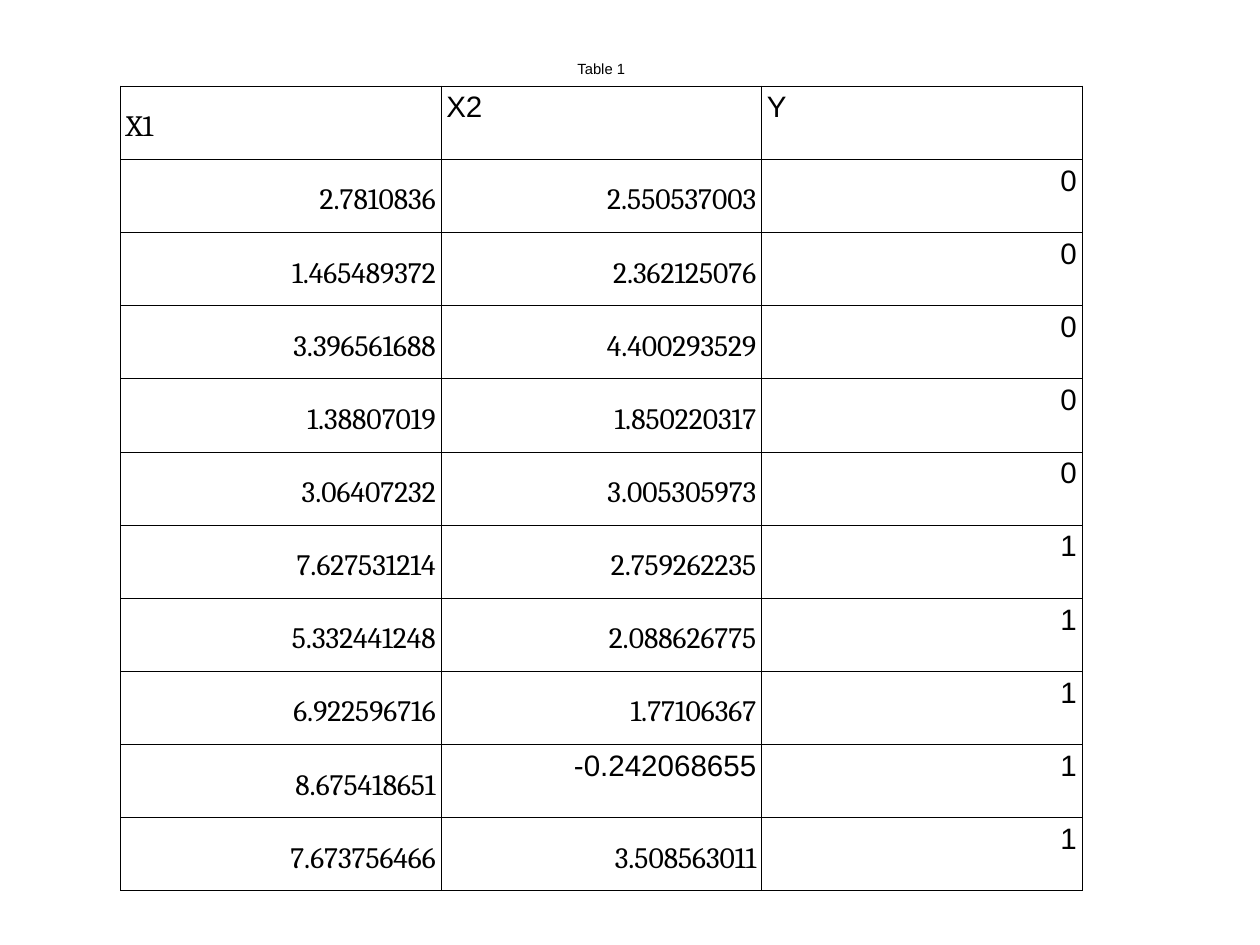
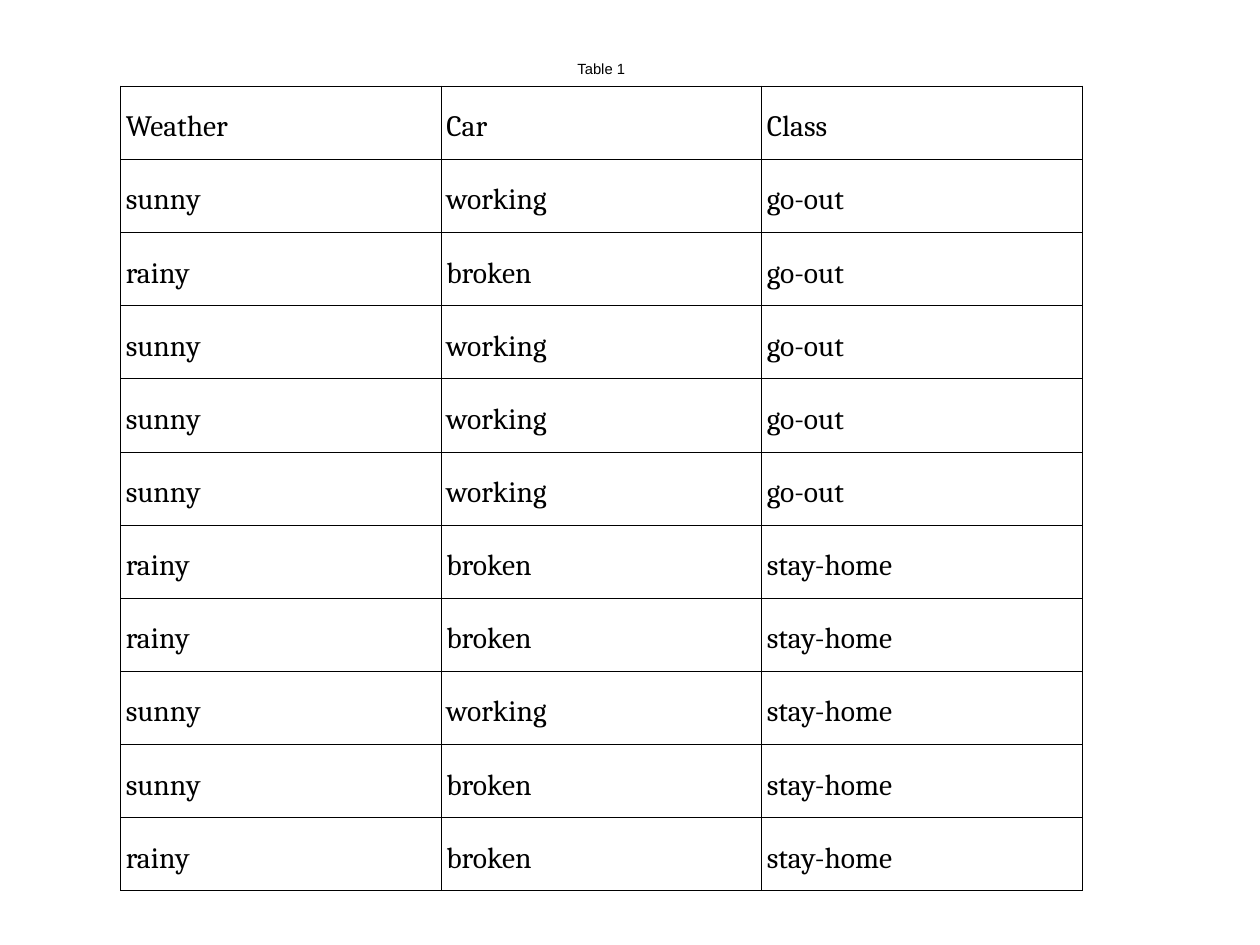
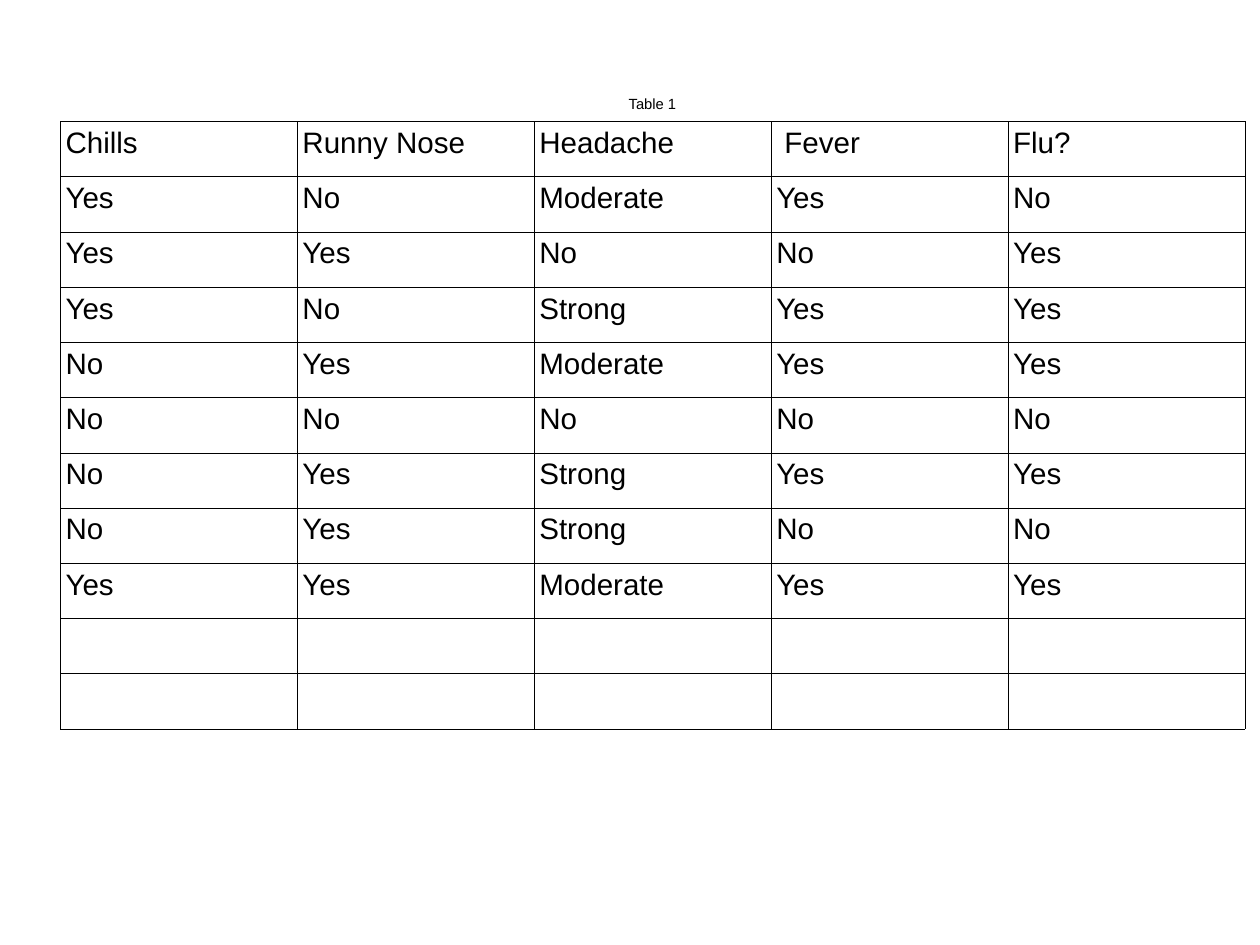
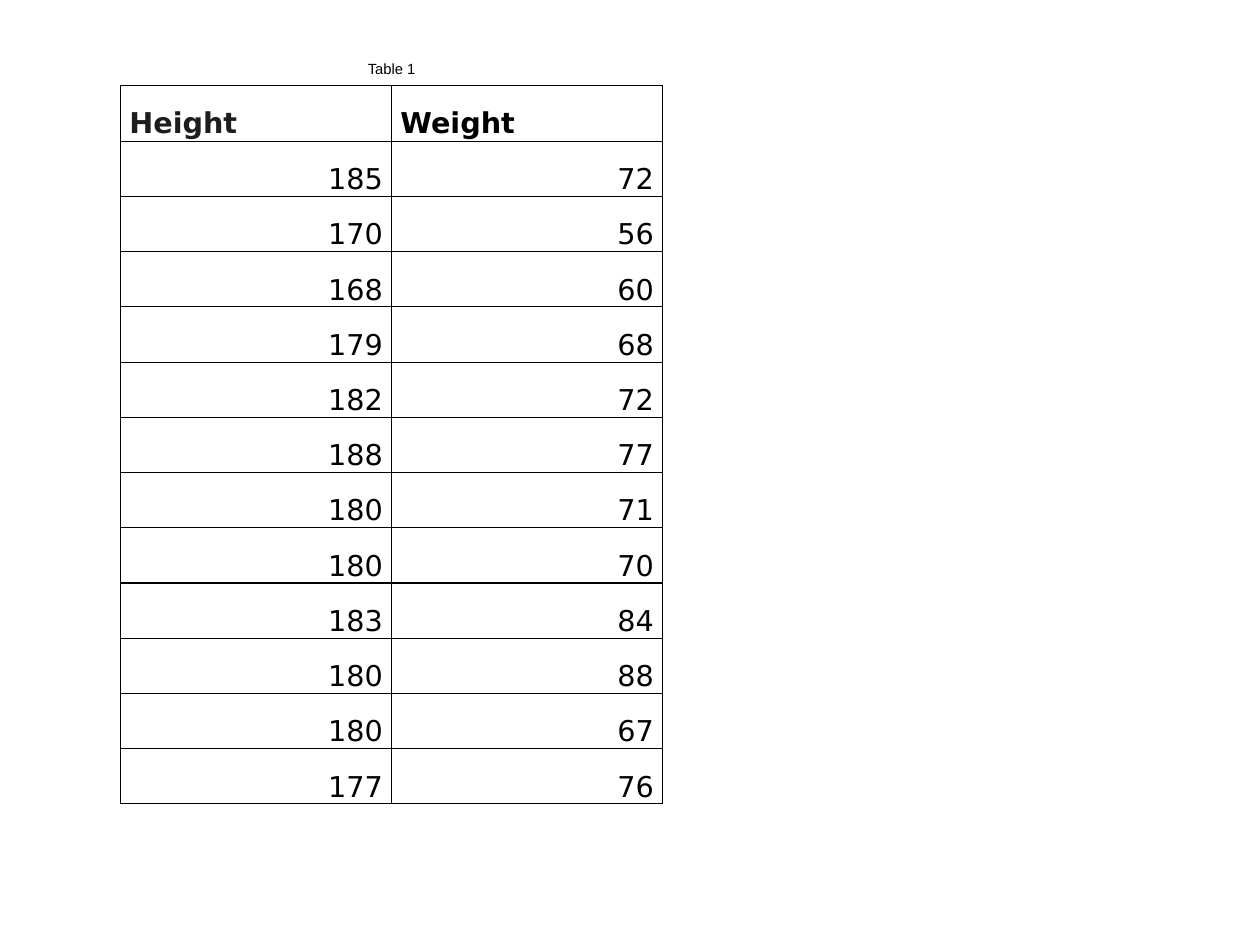
from dataclasses import dataclass, replace

from lxml import etree
from pptx import Presentation, util as u
from pptx.dml.color import RGBColor
from pptx.enum import text
from pptx.oxml.ns import qn

SLIDE_WIDTH, SLIDE_HEIGHT = 14.22, 10.67
COLUMN, ROW = 0.68, 0.2
CAPTION_ROWS = 1.9
COLORS = {"text": "000000", "heading": "1D1D1D", "rule": "000000", "cell": "FFFFFF"}
SIDES = ("L", "R", "T", "B")
LEFT, RIGHT, CENTER = text.PP_ALIGN.LEFT, text.PP_ALIGN.RIGHT, text.PP_ALIGN.CENTER
TOP, MIDDLE, BOTTOM = text.MSO_ANCHOR.TOP, text.MSO_ANCHOR.MIDDLE, text.MSO_ANCHOR.BOTTOM


@dataclass(frozen=True)
class CellStyle:
    font: str = "Arial"
    size: float = 24
    color: str = "text"
    bold: bool = False
    align: int = LEFT
    anchor: int = TOP
    spacing: float = 0
    margin_x: float = 0.06
    margin_y: float = 0.06
    fill: str = ""
    rule: float = 0.35


PLAIN = CellStyle()
CAPTION = CellStyle(size=12, align=CENTER, anchor=MIDDLE)
SERIF = CellStyle(font="Cambria", spacing=43)
MEASURE = CellStyle(font="DejaVu Sans", size=23.3, align=RIGHT, anchor=BOTTOM,
                    spacing=43, margin_x=0.1, margin_y=0, fill="cell", rule=1)
MEASURE_HEADING = replace(MEASURE, bold=True, align=LEFT, anchor=MIDDLE)

POINTS = [
    ("X1", "X2", "Y"),
    ("2.7810836", "2.550537003", "0"),
    ("1.465489372", "2.362125076", "0"),
    ("3.396561688", "4.400293529", "0"),
    ("1.38807019", "1.850220317", "0"),
    ("3.06407232", "3.005305973", "0"),
    ("7.627531214", "2.759262235", "1"),
    ("5.332441248", "2.088626775", "1"),
    ("6.922596716", "1.77106367", "1"),
    ("8.675418651", "-0.242068655", "1"),
    ("7.673756466", "3.508563011", "1"),
]
OUTINGS = [
    ("Weather", "Car", "Class"),
    ("sunny", "working", "go-out"),
    ("rainy", "broken", "go-out"),
    ("sunny", "working", "go-out"),
    ("sunny", "working", "go-out"),
    ("sunny", "working", "go-out"),
    ("rainy", "broken", "stay-home"),
    ("rainy", "broken", "stay-home"),
    ("sunny", "working", "stay-home"),
    ("sunny", "broken", "stay-home"),
    ("rainy", "broken", "stay-home"),
]
SYMPTOMS = [
    ("Chills", "Runny Nose", "Headache", " Fever", "Flu?"),
    ("Yes", "No", "Moderate", "Yes", "No"),
    ("Yes", "Yes", "No", "No", "Yes"),
    ("Yes", "No", "Strong", "Yes", "Yes"),
    ("No", "Yes", "Moderate", "Yes", "Yes"),
    ("No", "No", "No", "No", "No"),
    ("No", "Yes", "Strong", "Yes", "Yes"),
    ("No", "Yes", "Strong", "No", "No"),
    ("Yes", "Yes", "Moderate", "Yes", "Yes"),
    ("",) * 5,
    ("",) * 5,
]
BODIES = [
    ("Height", "Weight"),
    ("185", "72"), ("170", "56"), ("168", "60"), ("179", "68"),
    ("182", "72"), ("188", "77"), ("180", "71"), ("180", "70"),
    ("183", "84"), ("180", "88"), ("180", "67"), ("177", "76"),
]


def point_style(row, column, value):
    arial = column == 2 or (row, column) == (0, 1) or value.startswith("-")
    return replace(PLAIN if arial else SERIF, align=RIGHT if row else LEFT)


def outing_style(row, column, value):
    return SERIF


def symptom_style(row, column, value):
    return PLAIN


def body_style(row, column, value):
    if row:
        return MEASURE
    return MEASURE_HEADING if column else replace(MEASURE_HEADING, color="heading")


def rule_cell(cell, width, sides):
    properties = cell._tc.get_or_add_tcPr()
    for position, side in enumerate(SIDES):
        line = etree.Element(qn(f"a:ln{side}"), w=str(u.Pt(width)))
        if side in sides:
            fill = etree.SubElement(line, qn("a:solidFill"))
            etree.SubElement(fill, qn("a:srgbClr"), val=COLORS["rule"])
        else:
            etree.SubElement(line, qn("a:noFill"))
        properties.insert(position, line)


def format_cell(cell, style, sides=SIDES):
    cell.vertical_anchor = style.anchor
    cell.margin_left = cell.margin_right = u.Inches(style.margin_x)
    cell.margin_top = cell.margin_bottom = u.Inches(style.margin_y)
    if style.fill:
        cell.fill.solid()
        cell.fill.fore_color.rgb = RGBColor.from_string(COLORS[style.fill])
    else:
        cell.fill.background()
    rule_cell(cell, style.rule, sides)


def write_cell(cell, value, style):
    paragraph = cell.text_frame.paragraphs[0]
    paragraph.alignment = style.align
    if style.spacing:
        paragraph.line_spacing = u.Pt(style.spacing)
    if not value:
        return
    run = paragraph.add_run()
    run.text = value
    run.font.name = style.font
    run.font.size = u.Pt(style.size)
    run.font.bold = style.bold
    run.font.color.rgb = RGBColor.from_string(COLORS[style.color])


def add_caption(table, caption, rule):
    style = replace(CAPTION, rule=rule)
    cells = list(table.rows[0].cells)
    cells[0].merge(cells[-1])
    for cell in cells:
        format_cell(cell, style, sides=("B",))
    write_cell(cells[0], caption, style)


def add_table_slide(presentation, records, style_for, left, top, width, row_height):
    slide = presentation.slides.add_slide(presentation.slide_layouts[6])
    column_count = len(records[0])
    height = CAPTION_ROWS + row_height * len(records)
    table = slide.shapes.add_table(
        len(records) + 1, column_count,
        u.Inches(left * COLUMN), u.Inches(top * ROW),
        u.Inches(width * COLUMN), u.Inches(height * ROW)).table
    table.first_row = table.horz_banding = False
    for column in table.columns:
        column.width = u.Inches(width * COLUMN / column_count)
    for index, row in enumerate(table.rows):
        row.height = u.Inches((row_height if index else CAPTION_ROWS) * ROW)
    add_caption(table, "Table 1", style_for(0, 0, records[0][0]).rule)
    for row, record in enumerate(records):
        for column, value in enumerate(record):
            cell = table.cell(row + 1, column)
            style = style_for(row, column, value)
            format_cell(cell, style)
            write_cell(cell, value, style)


def main():
    presentation = Presentation()
    presentation.slide_width = u.Inches(SLIDE_WIDTH)
    presentation.slide_height = u.Inches(SLIDE_HEIGHT)
    add_table_slide(presentation, POINTS, point_style, 2, 2.95, 15.96, 4.13)
    add_table_slide(presentation, OUTINGS, outing_style, 2, 2.95, 15.96, 4.13)
    add_table_slide(presentation, SYMPTOMS, symptom_style, 1, 4.95, 19.66, 3.12)
    add_table_slide(presentation, BODIES, body_style, 2, 2.95, 9, 3.12)
    presentation.save("out.pptx")


if __name__ == "__main__":
    main()
